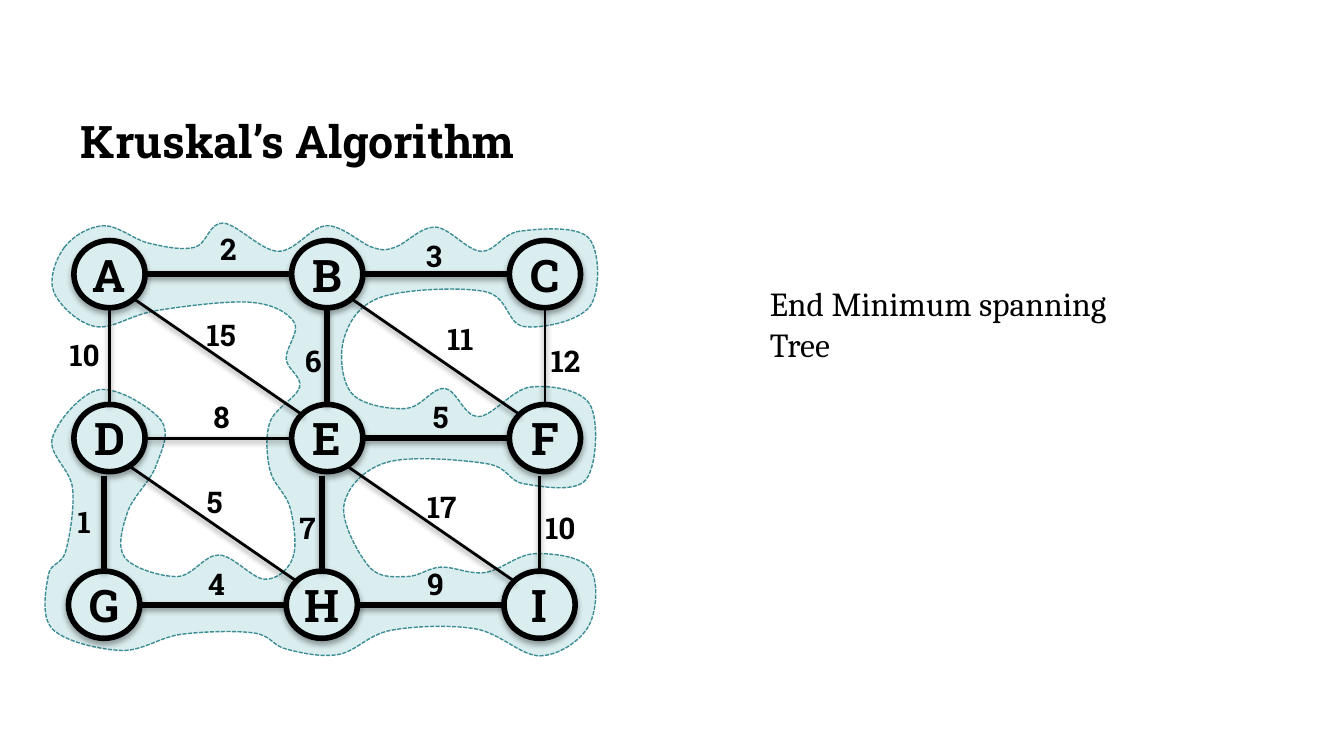
import pptx
import pptx.dml.color
import pptx.enum.dml
import pptx.enum.shapes
import pptx.enum.text
import pptx.oxml.ns
import pptx.util
from lxml import etree

TITLE = ("Kruskal’s Algorithm", (0.39, 0.8, 3.65, 0.5))
CAPTION = ("End Minimum spanning Tree", (5.63, 2.06, 3.17, 0.4))

# Each row: left of its first node, top, node letters.
NODE_ROWS = [(0.55, 1.79, "ABC"), (0.55, 3.01, "DEF"), (0.51, 4.25, "GHI")]

# Each edge: its two nodes, weight, in the spanning tree, left and top of the label.
EDGES = [
    ("AB", 2, True, 1.54, 1.67), ("BC", 3, True, 3.07, 1.72),
    ("AD", 10, False, 0.42, 2.46), ("BE", 6, True, 2.17, 2.5),
    ("CF", 12, False, 4, 2.5), ("AE", 15, False, 1.44, 2.31),
    ("BF", 11, False, 3.23, 2.34), ("DE", 8, False, 1.49, 2.92),
    ("EF", 5, True, 3.12, 2.92), ("DG", 1, True, 0.48, 3.7),
    ("EH", 7, True, 2.13, 3.74), ("FI", 10, False, 3.96, 3.74),
    ("DH", 5, False, 1.44, 3.55), ("EI", 17, False, 3.08, 3.59),
    ("GH", 4, True, 1.45, 4.16), ("HI", 9, True, 3.08, 4.16),
]

# Points the closed smooth outline around the tree passes through.
OUTLINE = [
    (0.48, 1.84), (0.77, 1.68), (1.11, 1.81), (1.45, 1.84), (1.66, 1.66),
    (2.07, 1.87), (2.43, 1.68), (2.77, 1.84), (2.94, 1.84), (3.24, 1.69),
    (3.58, 1.87), (3.87, 1.72), (4.38, 1.77), (4.39, 2.28), (3.9, 2.43),
    (3.61, 2.17), (2.84, 2.21), (2.56, 2.52), (2.62, 2.93), (3.02, 3.04),
    (3.31, 2.89), (3.56, 3.1), (3.95, 2.88), (4.39, 3.01), (4.36, 3.57),
    (3.9, 3.6), (3.62, 3.45), (2.88, 3.44), (2.56, 3.76), (2.75, 4.22),
    (3.03, 4.29), (3.28, 4.22), (3.61, 4.26), (3.98, 4.12), (4.39, 4.23),
    (4.38, 4.66), (4.02, 4.88), (3.54, 4.68), (2.91, 4.69), (2.52, 4.87),
    (2.13, 4.83), (1.89, 4.71), (1.35, 4.72), (0.9, 4.84), (0.39, 4.68),
    (0.36, 4.28), (0.49, 4.1), (0.54, 3.63), (0.39, 3.26), (0.74, 2.9),
    (1.2, 3.13), (1.16, 3.47), (0.95, 3.81), (0.93, 4.15), (1.32, 4.29),
    (1.63, 4.13), (1.97, 4.31), (2.18, 4.15), (2.16, 3.78), (2.01, 3.5),
    (2.01, 3.14), (2.23, 2.88), (2.13, 2.67), (2.19, 2.4), (1.87, 2.25),
    (1.17, 2.31), (0.71, 2.43), (0.4, 2.17),
]

RGB = pptx.dml.color.RGBColor.from_string
THEME = {
    "ink": RGB("000000"), "tree": RGB("DAEDEF"), "rim": RGB("3C8C93"),
    "heading": {"name": "Roboto Slab", "size": pptx.util.Pt(24), "bold": True},
    "weight": {"name": "Roboto Slab", "size": pptx.util.Pt(16), "bold": True},
    "body": {"name": "Cambria", "size": pptx.util.Pt(18), "bold": False},
    "thick": pptx.util.Pt(3), "thin": pptx.util.Pt(1.5), "hair": pptx.util.Pt(0.75),
}
NODE_W, NODE_H, COLUMN_STEP = 0.53, 0.5, 1.62
LINK_DROP, SLOPE, CORNER = 0.71, (1.25, 0.86), (0.18, 0.17)
CENTER = pptx.enum.text.PP_ALIGN.CENTER
LEFT = pptx.enum.text.PP_ALIGN.LEFT
qn = pptx.oxml.ns.qn


def lengths(values):
    """Turn inch values into slide lengths."""
    return [pptx.util.Cm(value * 2.54) for value in values]


def write(frame, text, font, align=LEFT):
    """Put one formatted paragraph into a text frame."""
    para = frame.paragraphs[0]
    para.alignment = align
    span = para.add_run()
    span.text = text
    for name, value in font.items():
        setattr(span.font, name, value)
    span.font.color.rgb = THEME["ink"]


def add_text(page, text, place, font, align=LEFT, wrap=True):
    """Add a text box that grows with its text."""
    frame = page.shapes.add_textbox(*lengths(place)).text_frame
    frame.word_wrap = wrap
    frame.auto_size = pptx.enum.text.MSO_AUTO_SIZE.SHAPE_TO_FIT_TEXT
    write(frame, text, font, align)


def add_shadow(item, distance, opacity):
    """Give a shape or connector a soft shadow straight below it."""
    properties = item._element.spPr
    effects = properties.find(qn("a:effectLst"))
    if effects is None:
        effects = etree.SubElement(properties, qn("a:effectLst"))
    shadow = etree.SubElement(effects, qn("a:outerShdw"), blurRad=str(pptx.util.Pt(3.1)),
                              dist=str(pptx.util.Pt(distance)), dir="5400000", rotWithShape="0")
    color = etree.SubElement(shadow, qn("a:srgbClr"), val=str(THEME["ink"]))
    etree.SubElement(color, qn("a:alpha"), val=str(opacity * 1000))


def paint(shape, line_color, width):
    """Fill a shape with the tree colour and set its line."""
    shape.shadow.inherit = False
    shape.fill.solid()
    shape.fill.fore_color.rgb = THEME["tree"]
    shape.line.color.rgb = line_color
    shape.line.width = width


def smooth(shape):
    """Turn the straight sides of a closed freeform into Catmull-Rom curves."""
    sides = list(shape._element.iter(qn("a:lnTo")))
    points = [(int(side[0].get("x")), int(side[0].get("y"))) for side in sides]
    count = len(points)
    for i, side in enumerate(sides):
        before, start, end, after = (points[(i + k) % count] for k in (-2, -1, 0, 1))
        leave = [s + (e - b) / 6 for s, e, b in zip(start, end, before)]
        arrive = [e - (a - s) / 6 for e, a, s in zip(end, after, start)]
        curve = etree.Element(qn("a:cubicBezTo"))
        for x, y in (leave, arrive, end):
            etree.SubElement(curve, qn("a:pt"), x=str(round(x)), y=str(round(y)))
        side.getparent().replace(side, curve)


def add_outline(page):
    """Draw the dashed area around the spanning tree."""
    points = [lengths(point) for point in OUTLINE]
    builder = page.shapes.build_freeform(*points[0])
    builder.add_line_segments(points[1:] + points[:1], close=True)
    area = builder.convert_to_shape()
    smooth(area)
    paint(area, THEME["rim"], THEME["hair"])
    area.line.dash_style = pptx.enum.dml.MSO_LINE.SQUARE_DOT


def add_node(page, letter, left, top):
    """Draw one lettered circle."""
    node = page.shapes.add_shape(pptx.enum.shapes.MSO_SHAPE.OVAL,
                                 *lengths((left, top, NODE_W, NODE_H)))
    paint(node, THEME["ink"], THEME["thick"])
    add_shadow(node, 1.8, 35)
    frame = node.text_frame
    side, end = lengths((0.04, 0.05))
    settings = {"margin_left": side, "margin_right": side, "margin_top": end,
                "margin_bottom": end, "vertical_anchor": pptx.enum.text.MSO_ANCHOR.MIDDLE}
    for name, value in settings.items():
        setattr(frame, name, value)
    write(frame, letter, THEME["heading"], CENTER)


def edge_ends(first, second):
    """Return start and end of the line between two node corners."""
    (left, top), (to_left, to_top) = first, second
    middle_x, middle_y = to_left + NODE_W / 2, to_top + NODE_H / 2
    if top == to_top:
        return (left + NODE_W, middle_y), (to_left, middle_y)
    if to_left - left < COLUMN_STEP / 2:
        return (middle_x, to_top - LINK_DROP), (middle_x, to_top)
    end = (middle_x - CORNER[0], middle_y - CORNER[1])
    return (end[0] - SLOPE[0], end[1] - SLOPE[1]), end


def add_edge(page, start, end, in_tree):
    """Draw one edge, thick when it belongs to the tree."""
    edge = page.shapes.add_connector(pptx.enum.shapes.MSO_CONNECTOR.STRAIGHT,
                                     *lengths(start + end))
    edge.line.color.rgb = THEME["ink"]
    edge.line.width = THEME["thick" if in_tree else "thin"]
    add_shadow(edge, 1.6, 38)


def build():
    """Build the slide and save the deck."""
    deck = pptx.Presentation()
    deck.slide_width = pptx.util.Cm(25.4)
    deck.slide_height = deck.slide_width * 9 // 16
    page = deck.slides.add_slide(deck.slide_layouts[6])
    add_text(page, *TITLE, THEME["heading"], CENTER)
    add_outline(page)
    nodes = {letter: (left + i * COLUMN_STEP, top)
             for left, top, letters in NODE_ROWS for i, letter in enumerate(letters)}
    for letter, place in nodes.items():
        add_node(page, letter, *place)
    for (first, second), weight, in_tree, left, top in EDGES:
        add_edge(page, *edge_ends(nodes[first], nodes[second]), in_tree)
        width = 0.34 if weight < 10 else 0.44
        add_text(page, str(weight), (left, top, width, 0.37), THEME["weight"], wrap=False)
    add_text(page, *CAPTION, THEME["body"])
    deck.save("out.pptx")


build()
